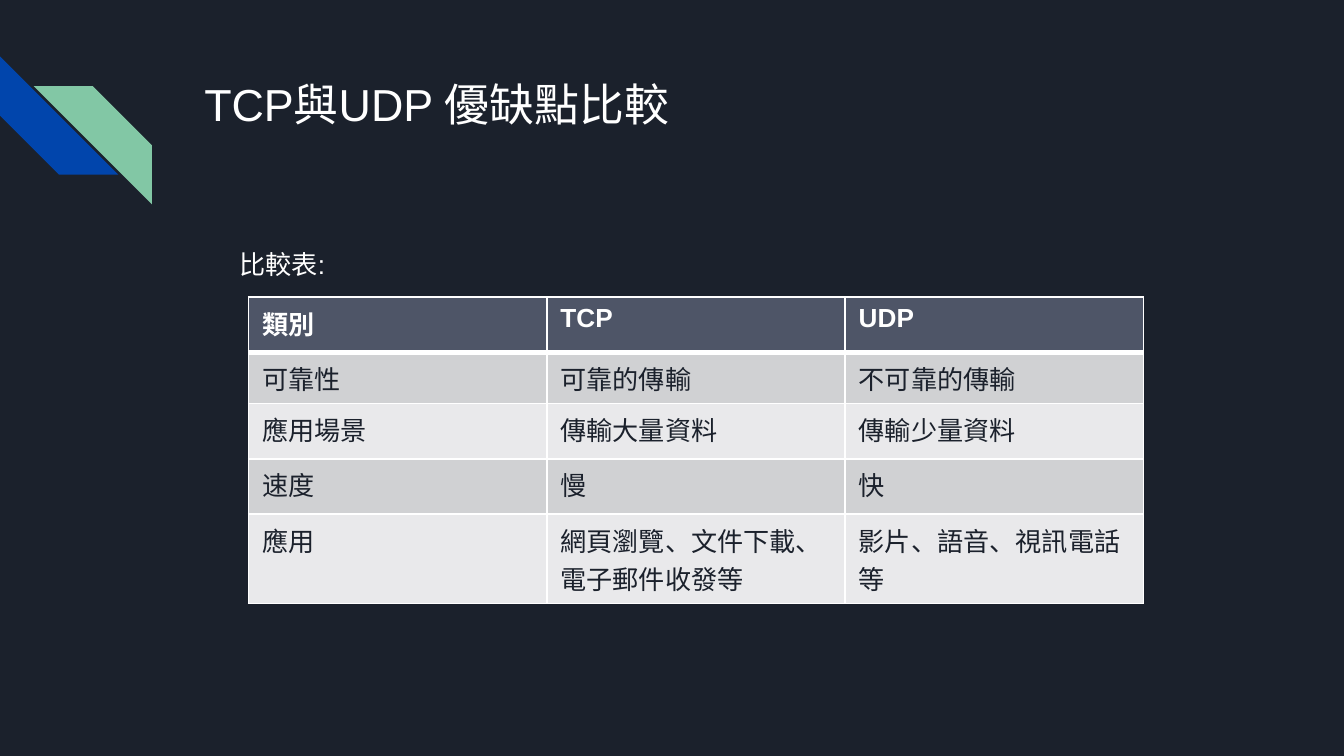
from lxml.etree import SubElement
from pptx import Presentation
from pptx.dml.color import RGBColor
from pptx.enum.shapes import MSO_SHAPE as Shape
from pptx.enum.text import MSO_ANCHOR as Anchor, MSO_AUTO_SIZE as Fit, PP_ALIGN as Align
from pptx.oxml.ns import qn
from pptx.util import Inches, Pt

NAVY = RGBColor(0x1B, 0x21, 0x2C)
BLUE = RGBColor(0x01, 0x45, 0xAC)
GREEN = RGBColor(0x82, 0xC7, 0xA5)
SLATE = RGBColor(0x4E, 0x55, 0x67)
GRAY = RGBColor(0xD0, 0xD1, 0xD3)
PALE = RGBColor(0xE9, 0xE9, 0xEB)
WHITE = RGBColor(0xFF, 0xFF, 0xFF)

ROWS = [
    ("類別", "TCP", "UDP"),
    ("可靠性", "可靠的傳輸", "不可靠的傳輸"),
    ("應用場景", "傳輸大量資料", "傳輸少量資料"),
    ("速度", "慢", "快"),
    ("應用", "網頁瀏覽、文件下載、電子郵件收發等", "影片、語音、視訊電話等"),
]
HEIGHTS = [0.41, 0.36, 0.41, 0.41, 0.41]


def style(run, size, color, bold=False):
    form = {"name": "Arial", "size": Pt(size), "bold": bold}
    for key, value in form.items():
        setattr(run.font, key, value)
    run.font.color.rgb = color


def stripe(slide, left, top, turn, color):
    side = Inches(0.88)
    band = slide.shapes.add_shape(
        Shape.DIAGONAL_STRIPE, Inches(left), Inches(top), side, side)
    band.rotation = turn
    band.shadow.inherit = False
    band.fill.solid()
    band.fill.fore_color.rgb = color
    band.line.fill.background()


def write(holder, box, text, size):
    """Place a placeholder in its box and give it one plain line of text."""
    for key, value in zip(("left", "top", "width", "height"), box):
        setattr(holder, key, Inches(value))
    frame = holder.text_frame
    form = {"word_wrap": True, "auto_size": Fit.NONE, "vertical_anchor": Anchor.TOP}
    form |= {f"margin_{side}": Inches(0.1) for side in ("left", "top", "right", "bottom")}
    for key, value in form.items():
        setattr(frame, key, value)
    line = frame.paragraphs[0]
    line.alignment = Align.LEFT
    line.space_before = Pt(0)
    run = line.add_run()
    run.text = text
    style(run, size, WHITE)
    return line


def indent(line, inches):
    """Indent a paragraph and take its bullet away."""
    props = line._p.get_or_add_pPr()
    props.set("marL", str(Inches(inches)))
    props.set("indent", "0")
    SubElement(props, qn("a:buNone"))


def edge(cell, side, width):
    line = SubElement(cell._tc.get_or_add_tcPr(), qn(f"a:ln{side}"), w=str(Pt(width)))
    fill = SubElement(line, qn("a:solidFill"))
    SubElement(fill, qn("a:srgbClr"), val=str(WHITE))


def grid(slide, left, top, width):
    """Draw the comparison table with equal columns."""
    count = len(ROWS[0])
    table = slide.shapes.add_table(
        len(ROWS), count, Inches(left), Inches(top),
        Inches(width), Inches(sum(HEIGHTS))).table
    for col in table.columns:
        col.width = Inches(width / count)
    for r, words in enumerate(ROWS):
        table.rows[r].height = Inches(HEIGHTS[r])
        head = r == 0
        for c, word in enumerate(words):
            cell = table.cell(r, c)
            for side in "LRTB":
                thick = (head and side == "B") or (r == 1 and side == "T")
                edge(cell, side, 3 if thick else 1)
            cell.fill.solid()
            cell.fill.fore_color.rgb = SLATE if head else GRAY if r % 2 else PALE
            run = cell.text_frame.paragraphs[0].add_run()
            run.text = word
            style(run, 14, WHITE if head else NAVY, head)


def main():
    deck = Presentation()
    deck.slide_width = Inches(10)
    deck.slide_height = deck.slide_width * 9 // 16
    slide = deck.slides.add_slide(deck.slide_layouts[1])
    back = slide.background.fill
    back.solid()
    back.fore_color.rgb = NAVY
    stripe(slide, 0, 0.42, 270, BLUE)
    stripe(slide, 0.25, 0.64, 90, GREEN)
    title, body = slide.placeholders
    write(title, (1.42, 0.47, 7.7, 1), "TCP與UDP 優缺點比較", 24)
    line = write(body, (1.42, 1.71, 7.7, 3.18), "比較表:", 14)
    line.line_spacing = 1.15
    line.space_after = Pt(12)
    indent(line, 0.26)
    grid(slide, 1.85, 2.21, 6.66)
    deck.save("out.pptx")


if __name__ == "__main__":
    main()
